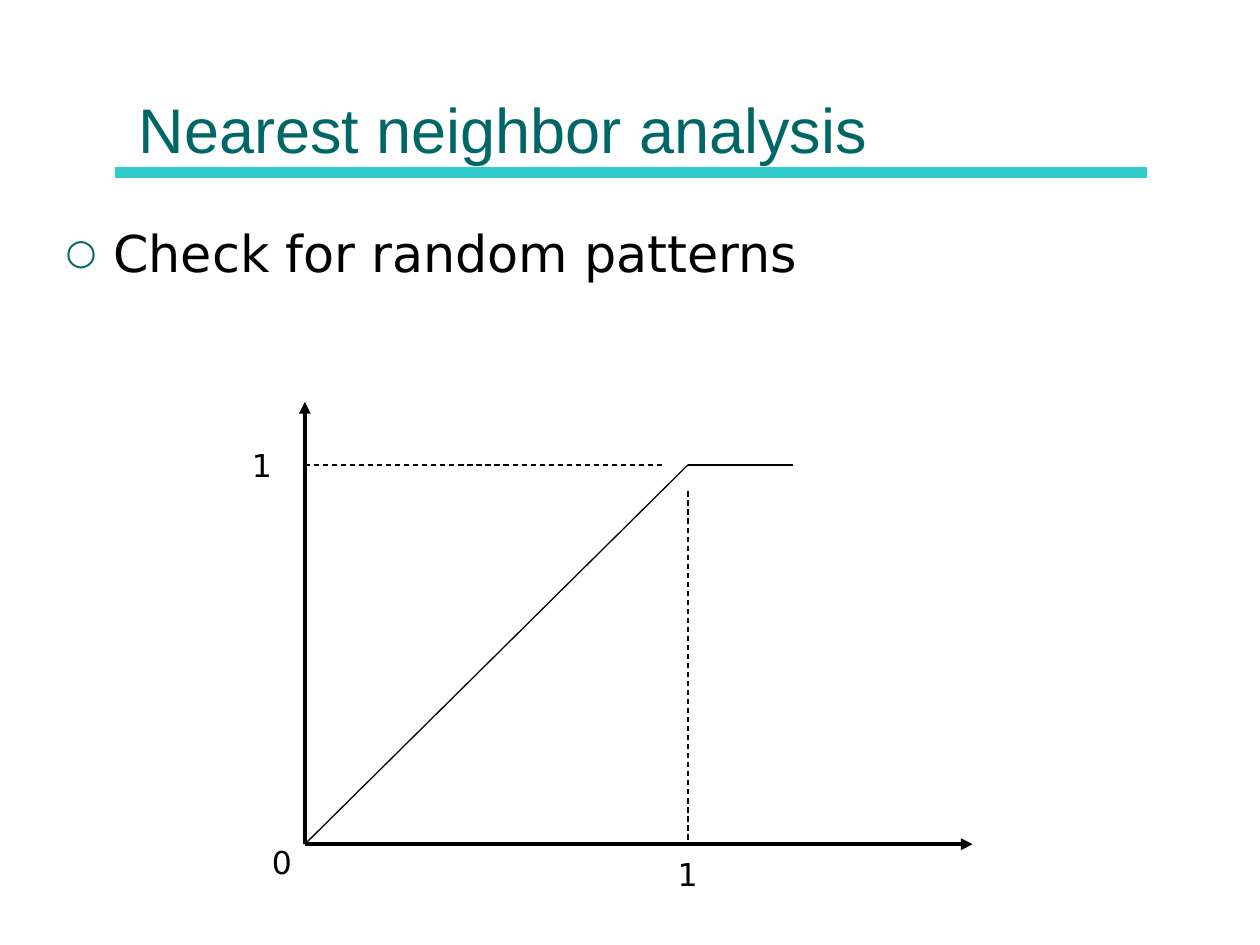
from dataclasses import dataclass

from lxml.etree import SubElement
from pptx import Presentation
from pptx.dml.color import RGBColor
from pptx.enum.dml import MSO_LINE_DASH_STYLE as Dash
from pptx.enum.shapes import MSO_CONNECTOR as Connector
from pptx.enum.text import MSO_ANCHOR as Anchor, MSO_AUTO_SIZE as AutoSize, PP_ALIGN as Align
from pptx.oxml.ns import qn
from pptx.util import Inches, Pt


@dataclass(frozen=True)
class Theme:
    title_color: str = "006666"
    rule_color: str = "33CCCC"
    ink: str = "000000"
    title_font: str = "Arial"
    body_font: str = "DejaVu Sans"
    title_size: float = 36
    body_size: float = 29
    label_size: float = 18
    rule_width: float = 6
    axis_width: float = 2.25
    plot_width: float = 0.75


THEME = Theme()


def place(shape, box):
    shape.left, shape.top, shape.width, shape.height = (Inches(v) for v in box)


def write(shape, text, *, font=THEME.body_font, size, color=THEME.ink,
          anchor=Anchor.TOP, wrap=True, fit=AutoSize.NONE, bullet=None):
    """Put one formatted paragraph in a shape."""
    frame = shape.text_frame
    frame.auto_size, frame.word_wrap, frame.vertical_anchor = fit, wrap, anchor
    para = frame.paragraphs[0]
    para.alignment = Align.LEFT
    para.space_before = Pt(0)
    if bullet:
        add_bullet(para, bullet)
    span = para.add_run()
    span.text = text
    span.font.name, span.font.size = font, Pt(size)
    span.font.color.rgb = RGBColor.from_string(color)


def add_bullet(para, char, indent=0.38):
    props = para._p.get_or_add_pPr()
    props.set("marL", str(Inches(indent)))
    props.set("indent", str(-Inches(indent)))
    color = SubElement(props, qn("a:buClr"))
    SubElement(color, qn("a:srgbClr"), val=THEME.title_color)
    SubElement(props, qn("a:buSzPct"), val="70000")
    SubElement(props, qn("a:buFont"), typeface=THEME.body_font)
    SubElement(props, qn("a:buChar"), char=char)


def add_line(page, start, end, *, width=THEME.plot_width, color=THEME.ink,
             dashed=False, arrow=False):
    points = [Inches(v) for v in (*start, *end)]
    connector = page.shapes.add_connector(Connector.STRAIGHT, *points)
    connector.line.width = Pt(width)
    connector.line.color.rgb = RGBColor.from_string(color)
    if dashed:
        connector.line.dash_style = Dash.DASH
    if arrow:
        SubElement(connector.line._get_or_add_ln(), qn("a:tailEnd"), type="triangle")
    SubElement(connector._element.spPr, qn("a:effectLst"))


def add_heading(page, box):
    """Title with the coloured rule under it."""
    left, top, width, height = box
    bottom = top + height
    add_line(page, (left - 0.09, bottom), (left + width + 0.1, bottom),
             width=THEME.rule_width, color=THEME.rule_color)
    title = page.shapes.title
    place(title, box)
    write(title, "Nearest neighbor analysis", font=THEME.title_font,
          size=THEME.title_size, color=THEME.title_color, anchor=Anchor.BOTTOM)


def add_body(page, box):
    body = page.placeholders[1]
    place(body, box)
    write(body, "Check for random patterns", size=THEME.body_size, bullet="○")


def add_graph(page, box):
    """Curve that rises from the origin to (1, 1) and then stays level."""
    left, top, width, height = box
    base = top + height
    origin = (left, base)
    unit_x, unit_y = left + 3.04, top + 0.5
    corner = (unit_x, unit_y)

    # Axes
    for tip in ((left, top), (left + width, base)):
        add_line(page, origin, tip, width=THEME.axis_width, arrow=True)

    # Guides, stopping short of the corner
    add_line(page, (left, unit_y), (unit_x - 0.18, unit_y), dashed=True)
    add_line(page, (unit_x, unit_y + 0.21), (unit_x, base), dashed=True)

    # Curve
    add_line(page, origin, corner)
    add_line(page, corner, (unit_x + 0.83, unit_y))

    # Axis labels
    label_width, label_height = 0.36, 0.4
    labels = (
        ("0", left - label_width, base - 0.06),
        ("1", left - 0.52, unit_y - label_height / 2),
        ("1", unit_x - label_width / 2, base + 0.04),
    )
    for text, x, y in labels:
        label = page.shapes.add_textbox(0, 0, 0, 0)
        place(label, (x, y, label_width, label_height))
        write(label, text, size=THEME.label_size, wrap=False,
              fit=AutoSize.SHAPE_TO_FIT_TEXT)


def main():
    deck = Presentation()
    deck.slide_width, deck.slide_height = Inches(10), Inches(7.5)
    page = deck.slides.add_slide(deck.slide_layouts[1])
    add_heading(page, (1, 0.12, 8, 1.25))
    add_body(page, (0.42, 1.71, 9.13, 4.5))
    add_graph(page, (2.42, 3.19, 5.3, 3.51))
    deck.save("out.pptx")


if __name__ == "__main__":
    main()
